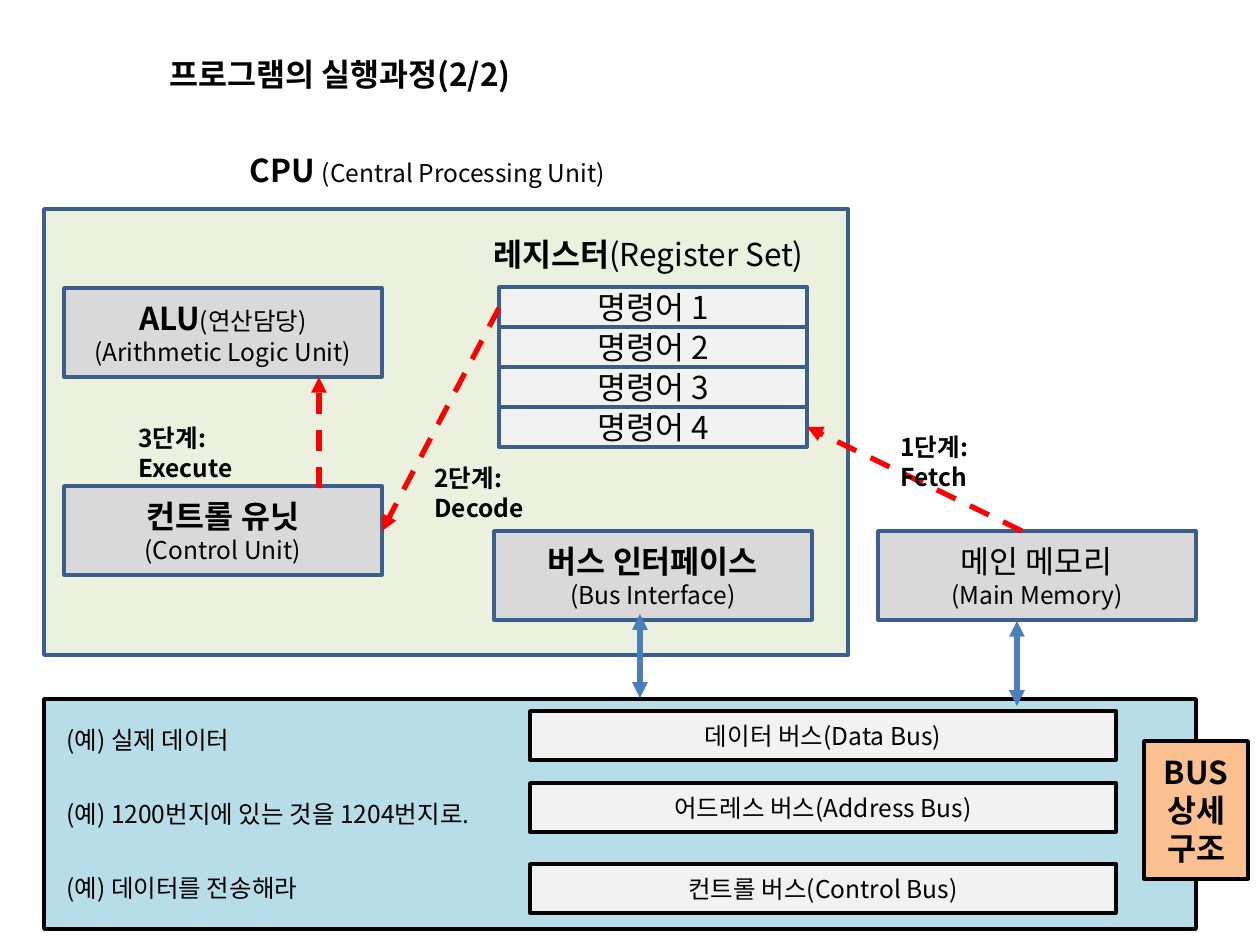
from lxml.etree import SubElement
from pptx import Presentation
from pptx.dml.color import RGBColor
from pptx.enum.dml import MSO_LINE
from pptx.enum.shapes import MSO_CONNECTOR, MSO_SHAPE
from pptx.enum.text import MSO_ANCHOR, PP_ALIGN
from pptx.oxml.ns import qn
from pptx.util import Pt

PX = 914400 / 126
FONT = "Noto Sans CJK KR"
COLORS = {
    "text": "000000", "navy": "3A5F8C", "cpu": "EBF1DE", "unit": "D9D9D9",
    "slot": "F2F2F2", "bus": "B7DEE8", "tag": "FAC090", "step": "FF0000",
    "link": "4B7EBC",
}


def rgb(name):
    return RGBColor.from_string(COLORS[name])


def add_box(bounds, paragraphs=(), fill=None, line="navy"):
    """Add a filled rectangle, or a text box without fill.

    Each paragraph is a list of (text, size, bold) runs.
    """
    bounds = [round(v * PX) for v in bounds]
    if fill:
        sp = s.shapes.add_shape(MSO_SHAPE.RECTANGLE, *bounds)
        sp.shadow.inherit = False
        sp.fill.solid()
        sp.fill.fore_color.rgb = rgb(fill)
        sp.line.color.rgb = rgb(line)
        sp.line.width = Pt(2)
    else:
        sp = s.shapes.add_textbox(*bounds)
    tf = sp.text_frame
    tf.word_wrap = True
    tf.vertical_anchor = MSO_ANCHOR.MIDDLE if fill else MSO_ANCHOR.TOP
    for i, runs in enumerate(paragraphs):
        p = tf.add_paragraph() if i else tf.paragraphs[0]
        p.alignment = PP_ALIGN.CENTER if fill else PP_ALIGN.LEFT
        p.font.name = FONT
        p.font.color.rgb = rgb("text")
        SubElement(p.font._rPr, qn("a:ea"), typeface=FONT)
        _, size, bold = runs[0]
        p.font.size, p.font.bold = Pt(size), bold
        for text, run_size, run_bold in runs:
            for j, part in enumerate(text.split("\n")):
                if j:
                    p.add_line_break()
                r = p.add_run()
                r.text = part
                if (run_size, run_bold) != (size, bold):
                    r.font.size, r.font.bold = Pt(run_size), run_bold


prs = Presentation()
prs.slide_width, prs.slide_height = round(1260 * PX), round(945 * PX)
s = prs.slides.add_slide(prs.slide_layouts[6])

# Panels and headings
add_box((44, 699, 1152, 230), fill="bus", line="text")
add_box((44, 209, 804, 446), fill="cpu")
add_box((157, 49, 410, 50), [[("프로그램의 실행과정(2/2)", 18, True)]])
add_box((237, 145, 638, 50),
        [[("CPU ", 18, True), ("(Central Processing Unit)", 14, False)]])
add_box((481, 229, 360, 50),
        [[("레지스터", 18, True), ("(Register Set)", 18, False)]])

# Units
units = [
    (64, 288, [[("ALU", 18, True), ("(연산담당)", 14, False)],
               [("(Arithmetic Logic Unit)", 14, False)]]),
    (64, 486, [[("컨트롤 유닛", 18, True)], [("(Control Unit)", 14, False)]]),
    (494, 531, [[("버스 인터페이스", 18, True)], [("(Bus Interface)", 14, False)]]),
    (878, 531, [[("메인 메모리", 18, False)], [("(Main Memory)", 14, False)]]),
]
for x, y, paragraphs in units:
    add_box((x, y, 318, 89), paragraphs, "unit")

# Registers
for i in range(4):
    add_box((499, 287 + 40 * i, 308, 40), [[(f"명령어 {i + 1}", 18, False)]], "slot")

# Buses with their examples
buses = [
    (711, 719, "데이터 버스(Data Bus)", "(예) 실제 데이터"),
    (783, 793, "어드레스 버스(Address Bus)", "(예) 1200번지에 있는 것을 1204번지로."),
    (864, 867, "컨트롤 버스(Control Bus)", "(예) 데이터를 전송해라"),
]
for bus_y, example_y, bus, example in buses:
    add_box((530, bus_y, 586, 49), [[(bus, 14, False)]], "slot", "text")
    add_box((54, example_y, 476, 43), [[(example, 14, False)]])

# Arrows: dashed execution steps, double-headed bus links
arrows = [
    ("step", 1022, 531, 807, 427),
    ("step", 499, 308, 382, 531),
    ("step", 319, 488, 319, 377),
    ("link", 1017, 706, 1017, 621),
    ("link", 640, 698, 640, 614),
]
for color, *ends in arrows:
    arrow = s.shapes.add_connector(MSO_CONNECTOR.STRAIGHT, *(round(v * PX) for v in ends))
    arrow.line.color.rgb = rgb(color)
    arrow.line.width = Pt(3)
    heads = ["a:headEnd", "a:tailEnd"]
    if color == "step":
        arrow.line.dash_style = MSO_LINE.DASH
        heads = ["a:tailEnd"]
    for head in heads:
        SubElement(arrow.line._get_or_add_ln(), qn(head), type="triangle")
    SubElement(arrow._element.spPr, qn("a:effectLst"))

# Step labels
steps = [(888, 426, "1단계:\nFetch"), (422, 457, "2단계:\nDecode"),
         (126, 417, "3단계:\nExecute")]
for x, y, text in steps:
    add_box((x, y, 180, 72), [[(text, 14, True)]])

add_box((1144, 741, 104, 138),
        [[(word, 18, True)] for word in ("BUS", "상세", "구조")], "tag", "text")

prs.save("out.pptx")
